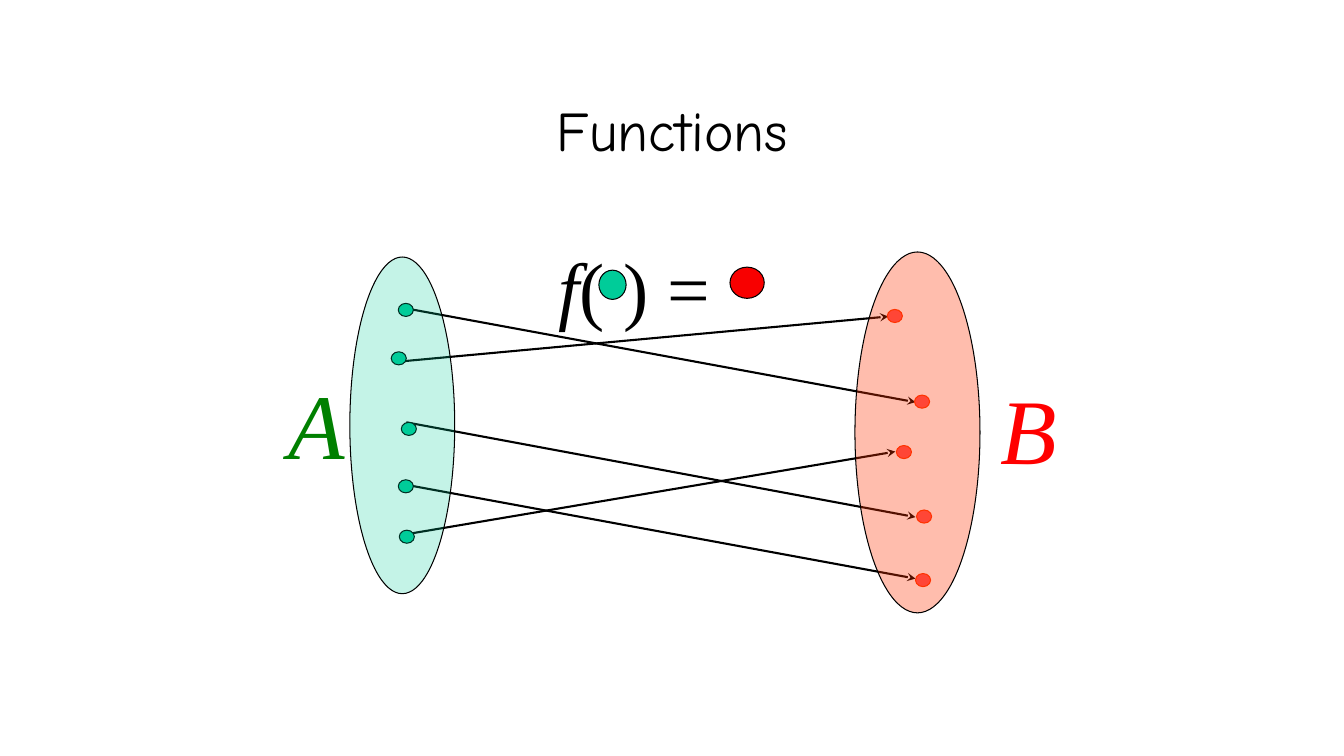
"""Build a slide showing a function as arrows from set A to set B."""
from dataclasses import dataclass

import pptx
import pptx.dml.color
import pptx.enum.shapes
import pptx.enum.text
import pptx.oxml.ns
import pptx.util
from lxml import etree

Inches = pptx.util.Inches
RGBColor = pptx.dml.color.RGBColor
Align = pptx.enum.text.PP_ALIGN
Anchor = pptx.enum.text.MSO_ANCHOR

BLACK = RGBColor(0x00, 0x00, 0x00)
TEAL = RGBColor(0x00, 0xCC, 0x99)
GREEN = RGBColor(0x00, 0x80, 0x00)
RED = RGBColor(0xFF, 0x00, 0x00)
OUTPUT_RED = RGBColor(0xF8, 0x00, 0x00)
DOT_RED = RGBColor(0xFF, 0x50, 0x50)
SET_RED = RGBColor(0xFF, 0x33, 0x00)
SERIF = "Times New Roman"
DOT_WIDTH, DOT_HEIGHT = 0.15, 0.13


@dataclass
class Oval:
    left: float
    top: float
    width: float
    height: float
    fill: RGBColor
    line: RGBColor = BLACK
    opacity: int = 100


@dataclass
class Mapping:
    start: tuple[float, float]
    end: tuple[float, float]


@dataclass
class Label:
    left: float
    top: float
    width: float
    height: float
    spans: list[tuple[str, bool]]
    size: int
    color: RGBColor = BLACK
    font: str = SERIF
    wrap: bool = False
    margin_top: float = 0.14
    margin_bottom: float = 0
    anchor: Anchor = Anchor.TOP
    align: Align = Align.LEFT
    line_spacing: float = 1.0


MAPPINGS = [
    Mapping((4.03, 3.06), (9.08, 3.99)),
    Mapping((3.93, 3.59), (8.81, 3.14)),
    Mapping((4.03, 4.19), (9.08, 5.13)),
    Mapping((4.03, 4.81), (9.08, 5.74)),
    Mapping((4.03, 5.3), (8.88, 4.48)),
]
INPUT_DOTS = [(3.95, 3.01), (3.88, 3.49), (3.98, 4.19), (3.95, 4.76), (3.96, 5.26)]
OUTPUT_DOTS = [(8.8, 3.07), (8.89, 4.42), (9.07, 3.92), (9.09, 5.06), (9.08, 5.69)]
SETS = [
    Oval(3.47, 2.55, 1.04, 3.34, TEAL, opacity=23),
    Oval(8.48, 2.5, 1.24, 3.58, SET_RED, opacity=32),
]
FORMULA_DOTS = [
    Oval(5.94, 2.68, 0.27, 0.29, TEAL),
    Oval(7.24, 2.65, 0.34, 0.31, OUTPUT_RED),
]
TITLE = Label(3.42, 0.67, 6.5, 1, [("Functions", False)], 40, font="Comic Neue",
              wrap=True, margin_top=0.05, margin_bottom=0.05,
              anchor=Anchor.BOTTOM, align=Align.CENTER, line_spacing=0.9)
LABELS = [
    Label(2.76, 3.5, 0.76, 1.2, [("A", True)], 66, GREEN),
    Label(9.82, 3.55, 0.76, 1.2, [("B", True)], 66, RED),
    Label(5.44, 2.25, 2.46, 1, [("f", True), ("( ) =", False)], 54, wrap=True),
]


def add_oval(page: pptx.slide.Slide, oval: Oval) -> None:
    """Draw one ellipse, translucent when its opacity is below 100."""
    shape = page.shapes.add_shape(
        pptx.enum.shapes.MSO_SHAPE.OVAL, Inches(oval.left), Inches(oval.top),
        Inches(oval.width), Inches(oval.height))
    shape.shadow.inherit = False
    shape.fill.solid()
    shape.fill.fore_color.rgb = oval.fill
    shape.line.color.rgb = oval.line
    shape.line.width = pptx.util.Pt(0.75)
    if oval.opacity < 100:
        color = shape.fill._xPr.find(".//" + pptx.oxml.ns.qn("a:srgbClr"))
        alpha = etree.SubElement(color, pptx.oxml.ns.qn("a:alpha"))
        alpha.set("val", str(oval.opacity * 1000))


def add_dots(page: pptx.slide.Slide, places: list[tuple[float, float]],
             fill: RGBColor, line: RGBColor) -> None:
    """Draw the equal-sized elements of one set."""
    for left, top in places:
        add_oval(page, Oval(left, top, DOT_WIDTH, DOT_HEIGHT, fill, line))


def add_arrow(page: pptx.slide.Slide, mapping: Mapping) -> None:
    """Draw one arrow from an input to its output."""
    arrow = page.shapes.add_connector(
        pptx.enum.shapes.MSO_CONNECTOR.STRAIGHT,
        *map(Inches, mapping.start), *map(Inches, mapping.end))
    arrow.line.color.rgb = BLACK
    arrow.line.width = pptx.util.Pt(1.5)
    head = etree.SubElement(arrow.line._get_or_add_ln(), pptx.oxml.ns.qn("a:tailEnd"))
    head.set("type", "stealth")
    etree.SubElement(arrow._element.spPr, pptx.oxml.ns.qn("a:effectLst"))


def add_label(page: pptx.slide.Slide, label: Label) -> None:
    """Write one line of text in its own box."""
    box = page.shapes.add_textbox(Inches(label.left), Inches(label.top),
                                  Inches(label.width), Inches(label.height))
    frame = box.text_frame
    frame.word_wrap = label.wrap
    frame.vertical_anchor = label.anchor
    frame.margin_top = Inches(label.margin_top)
    frame.margin_bottom = Inches(label.margin_bottom)
    para = frame.paragraphs[0]
    para.alignment = label.align
    para.line_spacing = label.line_spacing
    for text, italic in label.spans:
        span = para.add_run()
        span.text = text
        span.font.name = label.font
        span.font.size = pptx.util.Pt(label.size)
        span.font.italic = italic
        span.font.color.rgb = label.color


def main() -> None:
    """Assemble and save the deck."""
    deck = pptx.Presentation()
    deck.slide_width, deck.slide_height = Inches(13.33), Inches(7.5)
    page = deck.slides.add_slide(deck.slide_layouts[6])
    add_label(page, TITLE)
    for mapping in MAPPINGS:
        add_arrow(page, mapping)
    add_dots(page, INPUT_DOTS, TEAL, BLACK)
    add_dots(page, OUTPUT_DOTS, DOT_RED, SET_RED)
    for oval in SETS:
        add_oval(page, oval)
    for label in LABELS:
        add_label(page, label)
    for oval in FORMULA_DOTS:
        add_oval(page, oval)
    deck.save("out.pptx")


if __name__ == "__main__":
    main()
